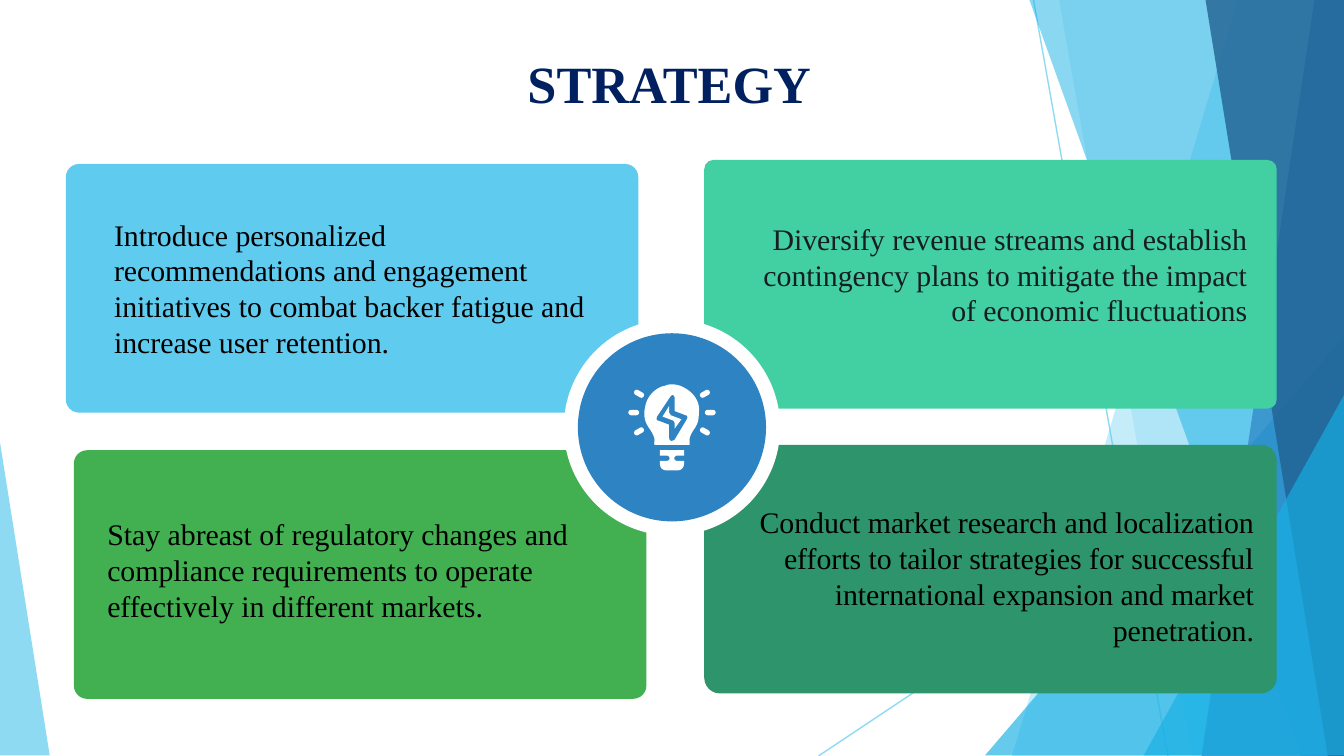
"""Build the STRATEGY slide: four cards around a light-bulb hub."""
from dataclasses import dataclass
from itertools import product

from lxml.etree import SubElement
from pptx import Presentation
from pptx.dml.color import RGBColor
from pptx.enum.shapes import MSO_CONNECTOR, MSO_SHAPE
from pptx.enum.text import MSO_ANCHOR, PP_ALIGN
from pptx.oxml.ns import qn
from pptx.util import Inches, Pt


@dataclass(frozen=True)
class Theme:
    font: str = "Times New Roman"
    title_size: int = 28
    body_size: int = 16
    navy: str = "002060"
    black: str = "000000"
    ink: str = "161E22"
    white: str = "FFFFFF"
    sky: str = "5FCBEF"
    cyan: str = "17B0E4"
    blue: str = "2E83C3"
    deep: str = "226292"
    green: str = "42B051"
    mint: str = "42D0A2"
    pine: str = "2E946B"


T = Theme()
W = 10
H = W * 9 / 16
CARD_W, CARD_H = 4.26, 1.85
HUB_X, HUB_Y = W / 2, 3.18
LEFT, CENTER, RIGHT = PP_ALIGN.LEFT, PP_ALIGN.CENTER, PP_ALIGN.RIGHT

TITLE = (" STRATEGY", (0.27, 0.28, 9.32, 0.63))
CARDS = [
    ((0.49, 1.22), 0.053, T.sky, (0.75, 1.51, 3.75, 0.63), LEFT, T.black,
     "Introduce personalized recommendations and engagement initiatives "
     "to combat backer fatigue and increase user retention."),
    ((0.55, 3.35), 0.053, T.green, (0.7, 3.74, 4.09, 1.34), LEFT, T.black,
     "Stay abreast of regulatory changes and compliance requirements "
     "to operate effectively in different markets."),
    ((5.24, 1.19), 0.037, T.mint, (5.42, 1.54, 3.96, 1.19), RIGHT, T.ink,
     "Diversify revenue streams and establish contingency plans "
     "to mitigate the impact of economic fluctuations"),
    ((5.24, 3.31), 0.063, T.pine, (5.32, 3.65, 4.11, 1.51), RIGHT, T.black,
     "Conduct market research and localization efforts to tailor strategies "
     "for successful international expansion and market penetration."),
]

RAYS = [((7.69, 0), (8.69, H)), ((W, 3.02), (6.09, H))]
BANDS = [
    ("band", (9.21, 7.53), T.sky, 36),
    ("band", (7.88, 8.87), T.sky, 20),
    ("triangle", (7.33, 2.5, 2.67, 3.12, 1), T.cyan, 66),
    ("band", (7.66, 9.68), T.cyan, 50),
    ("band", (9.78, 8.94), T.blue, 70),
    ("band", (8.97, 9.88), T.deep, 80),
    ("triangle", (8.51, 2.94, 1.49, 2.68, 1), T.cyan, 66),
    ("triangle", (0, 3.29, 0.37, 2.33, 0), T.sky, 70),
]

BULB = [
    (5, 2.86), (4.99, 2.86, 4.97, 2.86, 4.95, 2.87),
    (4.88, 2.88, 4.81, 2.95, 4.8, 3.03), (4.78, 3.11, 4.81, 3.16, 4.84, 3.2),
    (4.89, 3.28, 4.86, 3.28, 4.87, 3.31), (5.13, 3.31),
    (5.14, 3.28, 5.11, 3.28, 5.16, 3.2), (5.19, 3.16, 5.2, 3.13, 5.2, 3.07),
    (5.21, 3.01, 5.18, 2.95, 5.13, 2.91), (5.09, 2.88, 5.05, 2.86, 5, 2.86),
]
BOLT_EDGE = [
    (5, 2.94), (5.01, 2.94, 5.02, 2.95, 5.02, 2.96), (5.02, 3.06), (5.1, 3.09),
    (5.11, 3.09, 5.12, 3.1, 5.11, 3.12), (5.02, 3.27),
    (5.01, 3.28, 4.98, 3.29, 4.98, 3.26), (4.98, 3.16), (4.9, 3.13),
    (4.89, 3.13, 4.88, 3.12, 4.89, 3.1), (4.99, 2.95),
]
BOLT = [
    (4.98, 3.02), (4.93, 3.1), (5.01, 3.13), (5.01, 3.13, 5.02, 3.14, 5.02, 3.15),
    (5.02, 3.19), (5.07, 3.12), (4.99, 3.09), (4.99, 3.08, 4.98, 3.08, 4.98, 3.07),
]
SOCKET = [
    (4.91, 3.35), (4.91, 3.39), (4.96, 3.39), (4.99, 3.39, 4.99, 3.43, 4.96, 3.43),
    (4.91, 3.43), (4.91, 3.45), (4.91, 3.48, 4.93, 3.5, 4.96, 3.5), (5.04, 3.5),
    (5.07, 3.5, 5.09, 3.48, 5.09, 3.45), (5.09, 3.43), (5.04, 3.43),
    (5.01, 3.43, 5.01, 3.39, 5.04, 3.39), (5.09, 3.39), (5.09, 3.35),
]
ICON = [(BULB, T.white), (BOLT_EDGE, T.blue), (BOLT, T.white), (SOCKET, T.white)]


def set_alpha(props, percent):
    color = next(props.iter(qn("a:srgbClr")))
    SubElement(color, qn("a:alpha"), val=str(percent * 1000))


def paint(sp, color, alpha=100):
    sp.shadow.inherit = False
    sp.fill.solid()
    sp.fill.fore_color.rgb = RGBColor.from_string(color)
    sp.line.fill.background()
    if alpha < 100:
        set_alpha(sp._element.spPr, alpha)
    return sp


def add_preset(s, kind, box, color, adj=None, alpha=100):
    sp = s.shapes.add_shape(kind, *map(Inches, box))
    if adj is not None:
        sp.adjustments[0] = adj
    return paint(sp, color, alpha)


def flatten(outline, steps=8):
    points = [outline[0]]
    for part in outline[1:]:
        if len(part) == 2:
            points.append(part)
            continue
        ends = [points[-1], part[:2], part[2:4], part[4:]]
        for i in range(1, steps + 1):
            t = i / steps
            weights = ((1 - t) ** 3, 3 * t * (1 - t) ** 2, 3 * t * t * (1 - t), t ** 3)
            points.append(tuple(sum(w * e[k] for w, e in zip(weights, ends)) for k in (0, 1)))
    return points


def add_outline(s, outline, color, alpha=100):
    points = [(Inches(x), Inches(y)) for x, y in flatten(outline)]
    builder = s.shapes.build_freeform(*points[0])
    builder.add_line_segments(points[1:], close=True)
    return paint(builder.convert_to_shape(), color, alpha)


def add_ray(s, start, end):
    line = s.shapes.add_connector(MSO_CONNECTOR.STRAIGHT, *map(Inches, start + end))
    line.line.color.rgb = RGBColor.from_string(T.sky)
    line.line.width = Pt(0.75)
    set_alpha(line._element.spPr, 70)
    SubElement(line._element.spPr, qn("a:effectLst"))


def add_text(s, text, box, align, size, color, bold=False):
    tf = s.shapes.add_textbox(*map(Inches, box)).text_frame
    tf.word_wrap = True
    tf.vertical_anchor = MSO_ANCHOR.TOP
    tf.margin_left = tf.margin_right = tf.margin_top = tf.margin_bottom = Inches(0.1)
    p = tf.paragraphs[0]
    p.alignment = align
    r = p.add_run()
    r.text = text
    r.font.name, r.font.size, r.font.bold = T.font, Pt(size), bold
    r.font.color.rgb = RGBColor.from_string(color)


def add_background(s):
    for start, end in RAYS:
        add_ray(s, start, end)
    for kind, geometry, color, alpha in BANDS:
        if kind == "band":
            top, bottom = geometry
            add_outline(s, [(top, 0), (W, 0), (W, H), (bottom, H)], color, alpha)
        else:
            *box, adj = geometry
            add_preset(s, MSO_SHAPE.ISOSCELES_TRIANGLE, box, color, adj, alpha)


def add_hub(s):
    for d, color in ((1.61, T.white), (1.4, T.blue)):
        add_preset(s, MSO_SHAPE.OVAL, (HUB_X - d / 2, HUB_Y - d / 2, d, d), color)
    for side, step in product((-1, 1), (-1, 0, 1)):
        x = HUB_X + side * (0.245 if step else 0.285)
        y = 3.07 + 0.14 * step
        box = (x - 0.04, y - 0.02, 0.08, 0.04)
        add_preset(s, MSO_SHAPE.ROUNDED_RECTANGLE, box, T.white, 0.5).rotation = side * step * 30
    for outline, color in ICON:
        add_outline(s, outline, color)


def main():
    prs = Presentation()
    prs.slide_width, prs.slide_height = Inches(W), Inches(H)
    s = prs.slides.add_slide(prs.slide_layouts[6])
    add_background(s)
    add_text(s, *TITLE, CENTER, T.title_size, T.navy, bold=True)
    for corner, adj, fill, *_ in CARDS:
        add_preset(s, MSO_SHAPE.ROUNDED_RECTANGLE, (*corner, CARD_W, CARD_H), fill, adj)
    add_hub(s)
    for *_, box, align, color, text in CARDS:
        add_text(s, text, box, align, T.body_size, color)
    prs.save("out.pptx")


if __name__ == "__main__":
    main()
